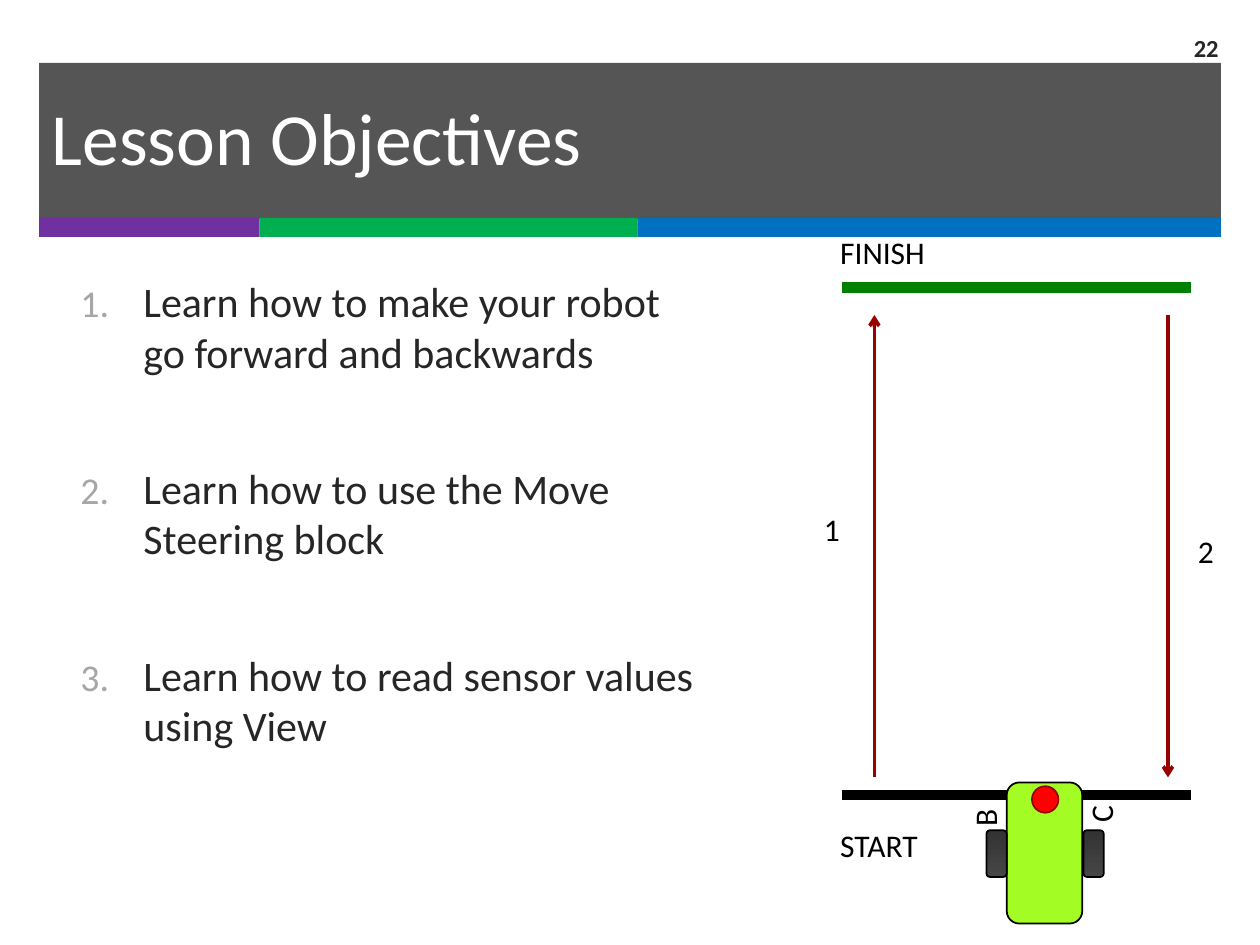
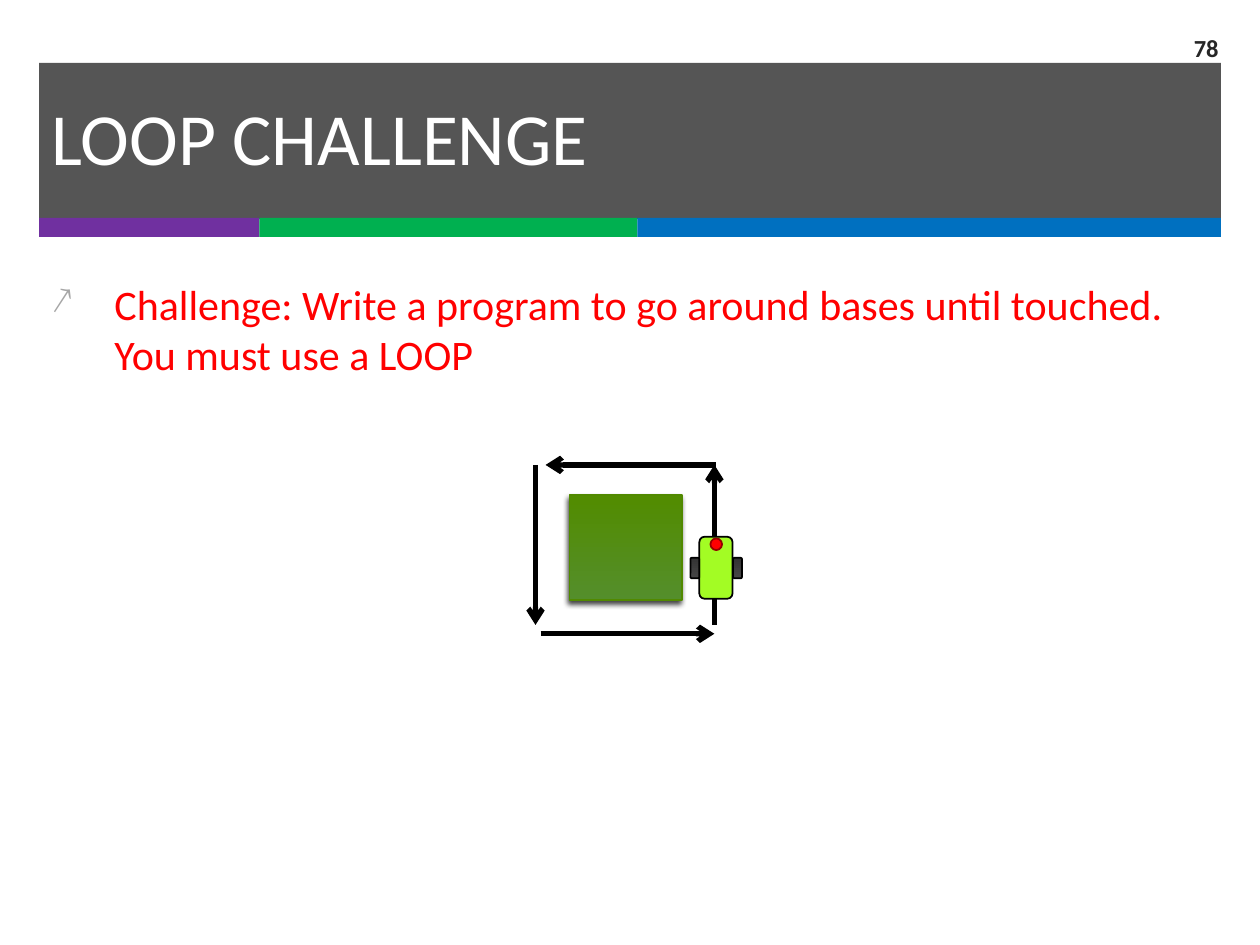
import pptx
import pptx.dml.color
import pptx.enum.shapes
import pptx.enum.text
import pptx.oxml.ns
import pptx.util
from lxml import etree

Inches = pptx.util.Inches
Pt = pptx.util.Pt
SHAPE = pptx.enum.shapes.MSO_SHAPE
ALIGN = pptx.enum.text.PP_ALIGN
ANCHOR = pptx.enum.text.MSO_ANCHOR
qn = pptx.oxml.ns.qn

FONT = "Calibri"
BLACK, WHITE, INK, RED = "000000", "FFFFFF", "262626", "FF0000"
BAND, GREY, GREEN, MAROON = "555555", "A6A6A6", "008000", "990000"
STRIPES = [("7030A0", 1.75), ("00B050", 3), ("0070C0", 4.63)]
EDGE, WIDE = 0.31, 9.38

GOALS = [
    "Learn how to make your robot go forward and backwards",
    "Learn how to use the Move Steering block",
    "Learn how to read sensor values using View",
]
TASK = ["Challenge: Write a program to go around bases until touched. You must use a LOOP"]

# text, left, top, width, height, turn
LABELS = [
    ("1", 6.44, 4, 0.34, 0.4, 0),
    ("2", 9.41, 4.17, 0.34, 0.4, 0),
    ("FINISH", 6.57, 1.8, 1.03, 0.4, 0),
    ("START", 6.57, 6.51, 1, 0.4, 0),
    ("B", 7.54, 6.28, 0.45, 0.3, 270),
    ("C", 8.46, 6.25, 0.45, 0.3, 270),
]
# start, end, colour, weight, arrow
TRACK = [
    ((9.45, 2.28), (6.68, 2.28), GREEN, 6, False),
    ((9.45, 6.31), (6.68, 6.31), BLACK, 6, False),
    ((6.94, 6.17), (6.94, 2.5), MAROON, 2, True),
    ((9.27, 2.5), (9.27, 6.17), MAROON, 2, True),
]
BASES = [
    ((5.67, 4.96), (5.67, 3.69)),
    ((5.68, 3.69), (4.33, 3.69)),
    ((4.25, 3.69), (4.25, 4.96)),
    ((4.29, 5.03), (5.67, 5.03)),
]
# kind, offset x, offset y, width, height, fill, edge
WHEEL = ("464646", "333333")
ROBOT = [
    (SHAPE.ROUNDED_RECTANGLE, 0, 0, 0.6, 1.12, "A3FC24", BLACK),
    (SHAPE.ROUNDED_RECTANGLE, 0.61, 0.38, 0.16, 0.37, WHEEL, BLACK),
    (SHAPE.ROUNDED_RECTANGLE, -0.16, 0.38, 0.16, 0.37, WHEEL, BLACK),
    (SHAPE.OVAL, 0.2, 0.03, 0.21, 0.21, RED, "960000"),
]


def rgb(code):
    return pptx.dml.color.RGBColor.from_string(code)


def add_tag(parent, name, **attrs):
    return etree.SubElement(parent, qn(name), {k: str(v) for k, v in attrs.items()})


def draw(slide, kind, box, fill, edge=None):
    """Add a shape; a pair of fill colours runs from bottom to top."""
    shape = slide.shapes.add_shape(kind, *map(Inches, box))
    shape.shadow.inherit = False
    if isinstance(fill, tuple):
        shape.fill.gradient()
        shape.fill.gradient_angle = 90
        for stop, code in zip(shape.fill.gradient_stops, fill):
            stop.color.rgb = rgb(code)
    else:
        shape.fill.solid()
        shape.fill.fore_color.rgb = rgb(fill)
    if edge:
        shape.line.color.rgb = rgb(edge)
        shape.line.width = Pt(1)
    else:
        shape.line.fill.background()
    return shape


def join(slide, start, end, code, weight, arrow=True):
    line = slide.shapes.add_connector(
        pptx.enum.shapes.MSO_CONNECTOR.STRAIGHT, *map(Inches, start + end))
    line.line.color.rgb = rgb(code)
    line.line.width = Pt(weight)
    props = line.element.spPr
    if arrow:
        add_tag(props.find(qn("a:ln")), "a:tailEnd", type="arrow")
    add_tag(props, "a:effectLst")


def style(para, size, code, bold=False):
    for run in para.runs:
        run.font.name = FONT
        run.font.size = Pt(size)
        run.font.bold = bold
        run.font.color.rgb = rgb(code)


def write(slide, text, box, size=18, code=BLACK, bold=False):
    shape = slide.shapes.add_textbox(*map(Inches, box))
    frame = shape.text_frame
    frame.word_wrap = True
    frame.text = text
    style(frame.paragraphs[0], size, code, bold)
    return shape


def write_list(slide, items, box, code, mark, **attrs):
    """Write items with hanging bullets; mark is the bullet's tag."""
    frame = slide.shapes.add_textbox(*map(Inches, box)).text_frame
    frame.word_wrap = True
    for i, item in enumerate(items):
        para = frame.add_paragraph() if i else frame.paragraphs[0]
        para.text = item
        props = para._p.get_or_add_pPr()
        props.set("marL", str(Inches(0.5)))
        props.set("indent", str(-Inches(0.5)))
        add_tag(add_tag(props, "a:buClr"), "a:srgbClr", val=GREY)
        add_tag(props, "a:buSzPct", val=90000)
        add_tag(props, mark, **attrs)
        if i:
            para.space_before = Pt(49)
        style(para, 24, code)


def add_page(deck, title, number):
    slide = deck.slides.add_slide(deck.slide_layouts[5])
    draw(slide, SHAPE.RECTANGLE, (EDGE, 0.5, WIDE, 1.24), BAND)
    left = EDGE
    for code, width in STRIPES:
        draw(slide, SHAPE.RECTANGLE, (left, 1.73, width, 0.15), code)
        left += width

    head = slide.shapes.title
    head.left, head.top, head.width, head.height = map(Inches, (EDGE, 0.55, WIDE, 1.06))
    frame = head.text_frame
    frame.text = title
    frame.auto_size = pptx.enum.text.MSO_AUTO_SIZE.NONE
    frame.vertical_anchor = ANCHOR.MIDDLE
    frame.paragraphs[0].alignment = ALIGN.LEFT
    style(frame.paragraphs[0], 42, WHITE)
    head.element.getparent().append(head.element)  # bring above the band

    page = write(slide, number, (9.08, 0.18, 0.69, 0.39), 14, INK, True).text_frame
    page.vertical_anchor = ANCHOR.MIDDLE
    page.paragraphs[0].alignment = ALIGN.RIGHT
    return slide


def draw_robot(slide, left, top, scale=1):
    for kind, x, y, width, height, fill, edge in ROBOT:
        box = (left + x * scale, top + y * scale, width * scale, height * scale)
        draw(slide, kind, box, fill, edge)


def add_goals(deck):
    slide = add_page(deck, "Lesson Objectives", "22")
    write_list(slide, GOALS, (0.54, 2.14, 5.16, 4.78), INK,
               "a:buAutoNum", type="arabicPeriod")
    for line in TRACK:
        join(slide, *line)
    draw_robot(slide, 7.99, 6.21)
    for text, *box, turn in LABELS:
        write(slide, text, box).rotation = turn


def add_loop(deck):
    slide = add_page(deck, "LOOP CHALLENGE", "78")
    write_list(slide, TASK, (EDGE, 2.16, WIDE, 4.54), RED, "a:buChar", char="↗")
    field = draw(slide, SHAPE.RECTANGLE, (4.52, 3.93, 0.89, 0.83),
                 ("548E2B", "528C00"), "518900")
    glow = add_tag(field.element.spPr.find(qn("a:effectLst")), "a:outerShdw",
                   blurRad=Pt(3), dist=Pt(2), dir=110 * 60000, rotWithShape=0)
    add_tag(add_tag(glow, "a:srgbClr", val=BLACK), "a:alpha", val=75000)
    for start, end in BASES:
        join(slide, start, end, BLACK, 3)
    draw_robot(slide, 5.55, 4.26, 0.44)


def main():
    deck = pptx.Presentation()
    deck.slide_width, deck.slide_height = Inches(10), Inches(7.5)
    add_goals(deck)
    add_loop(deck)
    deck.save("out.pptx")


if __name__ == "__main__":
    main()
